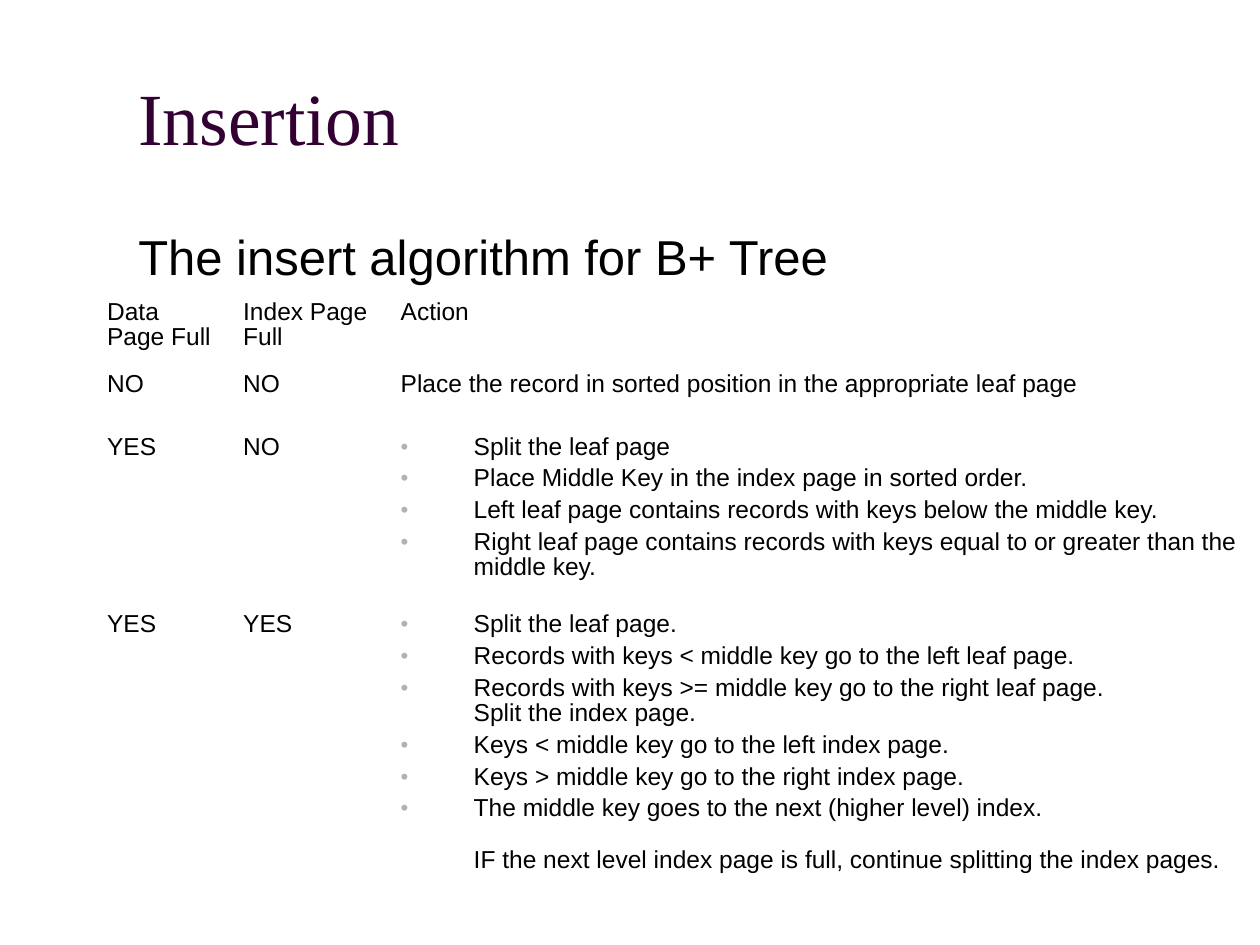
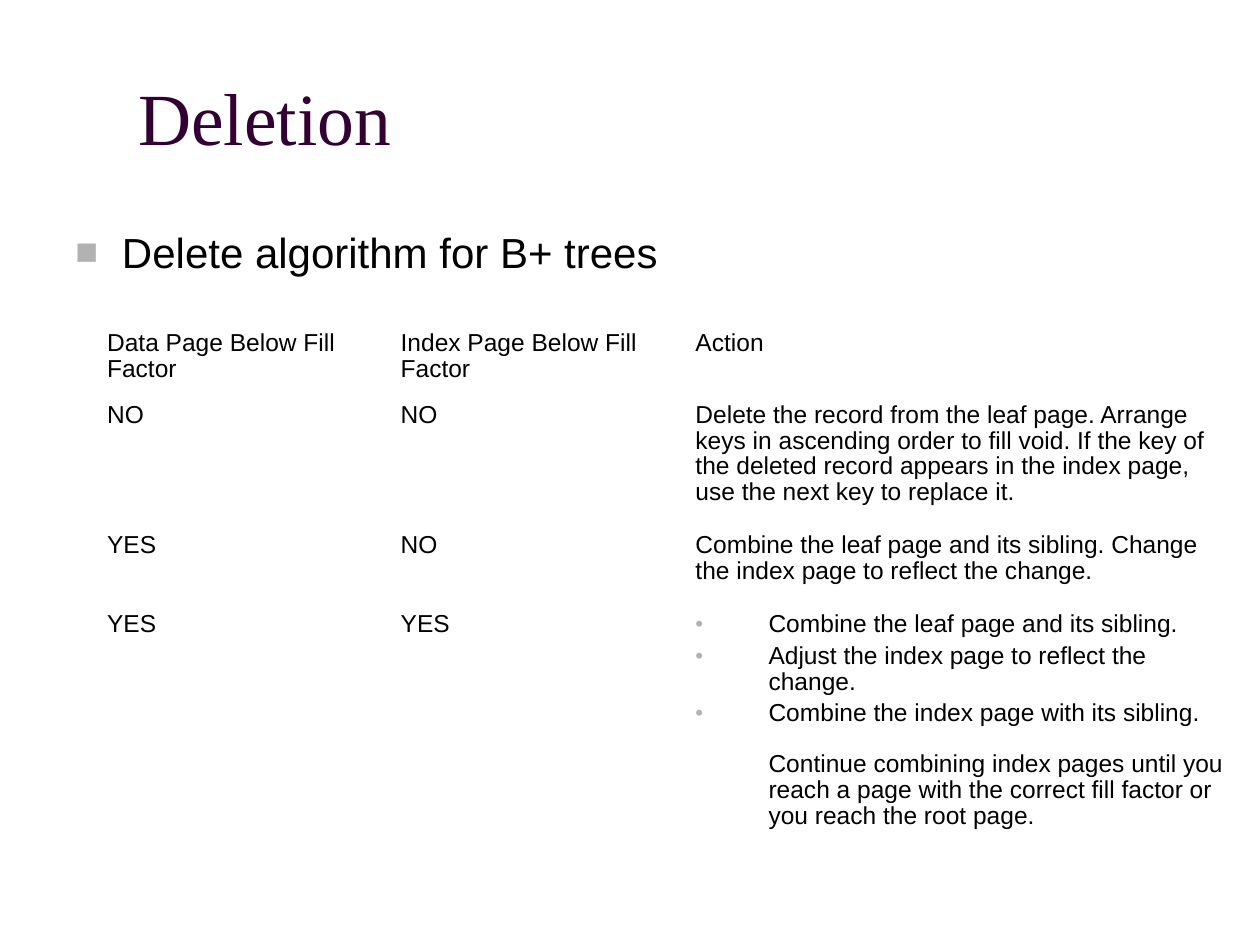
from collections import namedtuple

from lxml.etree import SubElement
from pptx import Presentation
from pptx.dml.color import RGBColor
from pptx.enum.text import MSO_ANCHOR as Anchor
from pptx.oxml.ns import qn
from pptx.util import Inches, Pt

COLORS = {"title": "330033", "text": "000000", "bullet": "B2B2B2"}
TITLE_FONT, BODY_FONT = "Times New Roman", "Arial"
TABLE_LINE_SPACING = 0.93
STEP_INDENT = 0.58

# A list of bulleted steps, closed by an optional unbulleted note
Steps = namedtuple("Steps", "bullets note", defaults=[None])


class Deck:
    """Holds the presentation, its style and the current slide."""

    def __init__(self):
        self.presentation = Presentation()
        self.presentation.slide_width = Inches(10)
        self.presentation.slide_height = Inches(7.5)
        self.slide = None

    def new_slide(self, title):
        blank_layout = self.presentation.slide_layouts[6]
        self.slide = self.presentation.slides.add_slide(blank_layout)
        frame = self.text_frame(1, 0.3, 8.5, 1.25)
        frame.vertical_anchor = Anchor.MIDDLE
        self.add_text(frame.paragraphs[0], title, 42, TITLE_FONT, "title")

    def text_frame(self, left, top, width, height):
        box = self.slide.shapes.add_textbox(
            Inches(left), Inches(top), Inches(width), Inches(height))
        box.text_frame.word_wrap = True
        return box.text_frame

    def add_text(self, paragraph, text, size, font=BODY_FONT, color="text"):
        for number, line in enumerate(text.split("\n")):
            if number:
                paragraph.add_line_break()
            run = paragraph.add_run()
            run.text = line
            run.font.name = font
            run.font.size = Pt(size)
            run.font.color.rgb = RGBColor.from_string(COLORS[color])

    def indent(self, paragraph, margin, bullet=None):
        properties = paragraph._p.get_or_add_pPr()
        properties.set("marL", str(Inches(margin)))
        properties.set("indent", str(-Inches(margin) if bullet else 0))
        if bullet:
            color = SubElement(properties, qn("a:buClr"))
            SubElement(color, qn("a:srgbClr"), val=COLORS["bullet"])
            SubElement(properties, qn("a:buSzPct"), val="90000")
            SubElement(properties, qn("a:buFont"), typeface=BODY_FONT)
            SubElement(properties, qn("a:buChar"), char=bullet)

    def subtitle(self, text, size, left, width, bullet=None):
        paragraph = self.text_frame(left, 1.75, width, 4.95).paragraphs[0]
        if bullet:
            self.indent(paragraph, 0.37, bullet)
        self.add_text(paragraph, text, size)

    def table(self, top, widths, heights, rows):
        table = self.slide.shapes.add_table(
            len(rows), len(widths), Inches(0.75), Inches(top),
            Inches(sum(widths)), Inches(sum(heights))).table
        table.first_row = table.horz_banding = False
        for column, width in zip(table.columns, widths):
            column.width = Inches(width)
        for row, height, contents in zip(table.rows, heights, rows):
            row.height = Inches(height)
            for cell, content in zip(row.cells, contents):
                cell.fill.background()
                self.fill_cell(cell.text_frame, content)

    def fill_cell(self, frame, content):
        if isinstance(content, str):
            self.cell_paragraph(frame.paragraphs[0], content)
            return
        for number, step in enumerate(content.bullets):
            paragraph = frame.add_paragraph() if number else frame.paragraphs[0]
            self.indent(paragraph, STEP_INDENT, "•")
            self.cell_paragraph(paragraph, step, 3.5 if number else 0)
        if content.note:
            paragraph = frame.add_paragraph()
            self.indent(paragraph, STEP_INDENT)
            self.cell_paragraph(paragraph, content.note, 14.6)

    def cell_paragraph(self, paragraph, text, space_before=0):
        paragraph.line_spacing = TABLE_LINE_SPACING
        paragraph.space_before = Pt(space_before)
        self.add_text(paragraph, text, 14)


def main():
    deck = Deck()

    # Insertion
    deck.new_slide("Insertion")
    deck.subtitle("The insert algorithm for B+ Tree", 28, left=1, width=8.5)
    deck.table(2.33, [1.08, 1.25, 6.84], [0.57, 0.5, 1.41, 2.53], [
        ["Data Page Full", "Index Page Full", "Action"],
        ["NO", "NO",
         "Place the record in sorted position in the appropriate leaf page"],
        ["YES", "NO", Steps([
            "Split the leaf page",
            "Place Middle Key in the index page in sorted order.",
            "Left leaf page contains records with keys below the middle key.",
            "Right leaf page contains records with keys equal to or greater "
            "than the middle key."])],
        ["YES", "YES", Steps([
            "Split the leaf page.",
            "Records with keys < middle key go to the left leaf page.",
            "Records with keys >= middle key go to the right leaf page.\n"
            "Split the index page.",
            "Keys < middle key go to the left index page.",
            "Keys > middle key go to the right index page.",
            "The middle key goes to the next (higher level) index."],
            "IF the next level index page is full, continue splitting the "
            "index pages.")],
    ])

    # Deletion
    deck.new_slide("Deletion")
    deck.subtitle("Delete algorithm for B+ trees", 24, left=0.5, width=9.5,
                  bullet="■")
    deck.table(2.58, [2.33, 2.34, 4.42], [0.57, 1.03, 0.63, 2.06], [
        ["Data Page Below Fill Factor", "Index Page Below Fill Factor",
         "Action"],
        ["NO", "NO",
         "Delete the record from the leaf page. Arrange keys in ascending "
         "order to fill void. If the key of the deleted record appears in "
         "the index page, use the next key to replace it."],
        ["YES", "NO",
         "Combine the leaf page and its sibling. Change the index page to "
         "reflect the change."],
        ["YES", "YES", Steps([
            "Combine the leaf page and its sibling.",
            "Adjust the index page to reflect the change.",
            "Combine the index page with its sibling."],
            "Continue combining index pages until you reach a page with the "
            "correct fill factor or you reach the root page.")],
    ])

    deck.presentation.save("out.pptx")


if __name__ == "__main__":
    main()
